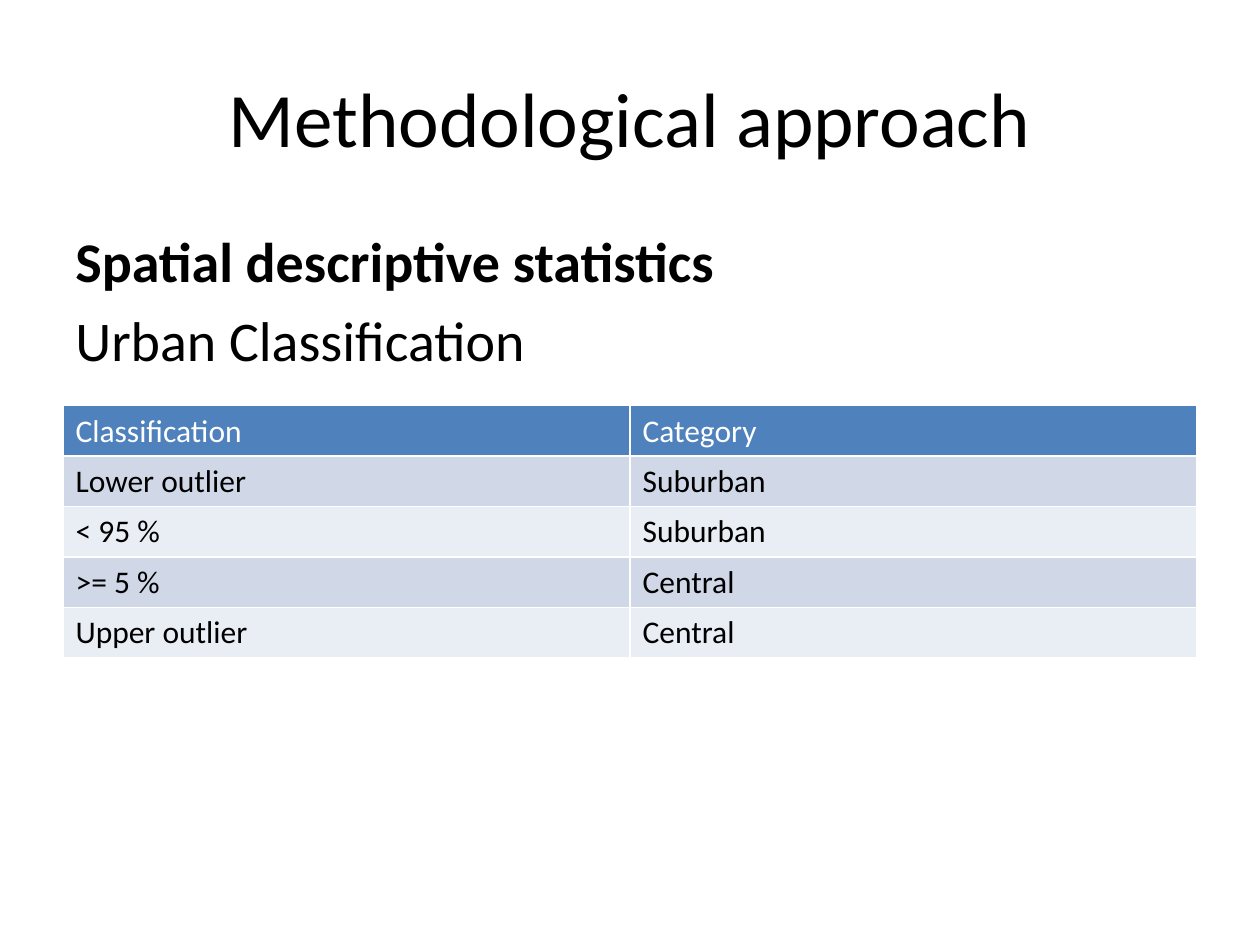
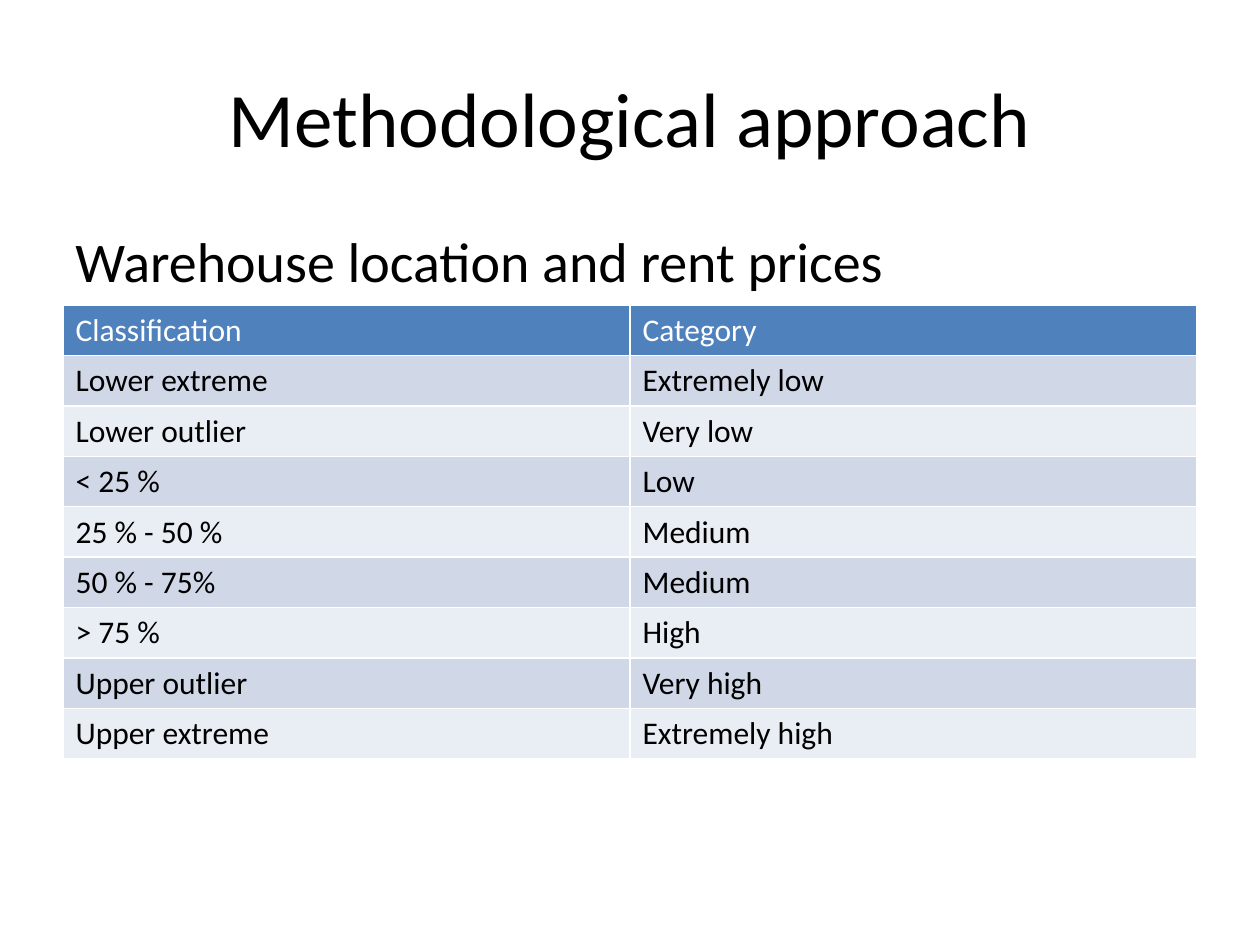
from dataclasses import dataclass

from lxml import etree
from pptx import Presentation
from pptx.dml.color import RGBColor
from pptx.enum.text import MSO_ANCHOR, PP_ALIGN
from pptx.oxml.ns import qn
from pptx.util import Inches, Pt

TOP, MIDDLE = MSO_ANCHOR.TOP, MSO_ANCHOR.MIDDLE
LEFT, CENTER = PP_ALIGN.LEFT, PP_ALIGN.CENTER


@dataclass(frozen=True)
class Theme:
    font: str = "Calibri"
    ink: str = "000000"
    white: str = "FFFFFF"
    head: str = "4F81BD"
    bands: tuple = ("D0D8E8", "E9EDF4")
    title_size: int = 44
    body_size: int = 32
    cell_size: int = 18
    body_gap: float = 6.4
    rule: int = 1
    margin: float = 0.5
    width: float = 9
    row: float = 0.4


THEME = Theme()
TITLE = "Methodological approach"
HEADER = ("Classification", "Category")
URBAN = [
    ("Lower outlier", "Suburban"),
    ("< 95 %", "Suburban"),
    (">= 5 %", "Central"),
    ("Upper outlier", "Central"),
]
RENT = [
    ("Lower extreme", "Extremely low"),
    ("Lower outlier", "Very low"),
    ("< 25 %", "Low"),
    ("25 % - 50 %", "Medium"),
    ("50 % - 75%", "Medium"),
    ("> 75 %", "High"),
    ("Upper outlier", "Very high"),
    ("Upper extreme", "Extremely high"),
]


def style(para, size, color=THEME.ink, bold=False):
    for run in para.runs:
        run.font.name = THEME.font
        run.font.size = Pt(size)
        run.font.bold = bold
        run.font.color.rgb = RGBColor.from_string(color)


def add_text(slide, top, height, lines, size, align=LEFT, anchor=TOP, gap=0):
    """Add a full-width text box; lines are (text, bold) pairs."""
    box = slide.shapes.add_textbox(
        Inches(THEME.margin), Inches(top), Inches(THEME.width), Inches(height))
    frame = box.text_frame
    frame.word_wrap = True
    frame.vertical_anchor = anchor
    frame.text = "\n".join(text for text, _ in lines)
    for para, (_, bold) in zip(frame.paragraphs, lines):
        para.alignment = align
        para.space_before = Pt(gap)
        style(para, size, bold=bold)


def add_rules(cell):
    """Draw the cell's four borders; must run before the fill is set."""
    props = cell._tc.get_or_add_tcPr()
    for side in ("a:lnL", "a:lnR", "a:lnT", "a:lnB"):
        line = etree.SubElement(props, qn(side), w=str(Pt(THEME.rule)))
        fill = etree.SubElement(line, qn("a:solidFill"))
        etree.SubElement(fill, qn("a:srgbClr"), val=THEME.white)


def fill_cell(cell, text, fill, color):
    add_rules(cell)
    cell.fill.solid()
    cell.fill.fore_color.rgb = RGBColor.from_string(fill)
    cell.text = text
    style(cell.text_frame.paragraphs[0], THEME.cell_size, color)


def add_grid(slide, top, rows):
    """Add a table with the shared header and alternating bands."""
    rows = [HEADER, *rows]
    table = slide.shapes.add_table(
        len(rows), len(HEADER), Inches(THEME.margin), Inches(top),
        Inches(THEME.width), Inches(THEME.row * len(rows))).table
    for r, row in enumerate(rows):
        fill = THEME.bands[(r - 1) % 2] if r else THEME.head
        color = THEME.ink if r else THEME.white
        for c, text in enumerate(row):
            fill_cell(table.cell(r, c), text, fill, color)


def add_page(deck, lines, top, rows):
    slide = deck.slides.add_slide(deck.slide_layouts[6])
    add_text(slide, 0.3, 1.25, [(TITLE, False)], THEME.title_size, CENTER, MIDDLE)
    add_text(slide, 1.75, 4.95, lines, THEME.body_size, gap=THEME.body_gap)
    add_grid(slide, top, rows)


def main():
    deck = Presentation()
    deck.slide_width, deck.slide_height = Inches(10), Inches(7.5)
    add_page(deck, [("Spatial descriptive statistics", True),
                    ("Urban Classification", False)], 3.22, URBAN)
    add_page(deck, [("Warehouse location and rent prices", False)], 2.42, RENT)
    deck.save("out.pptx")


if __name__ == "__main__":
    main()
